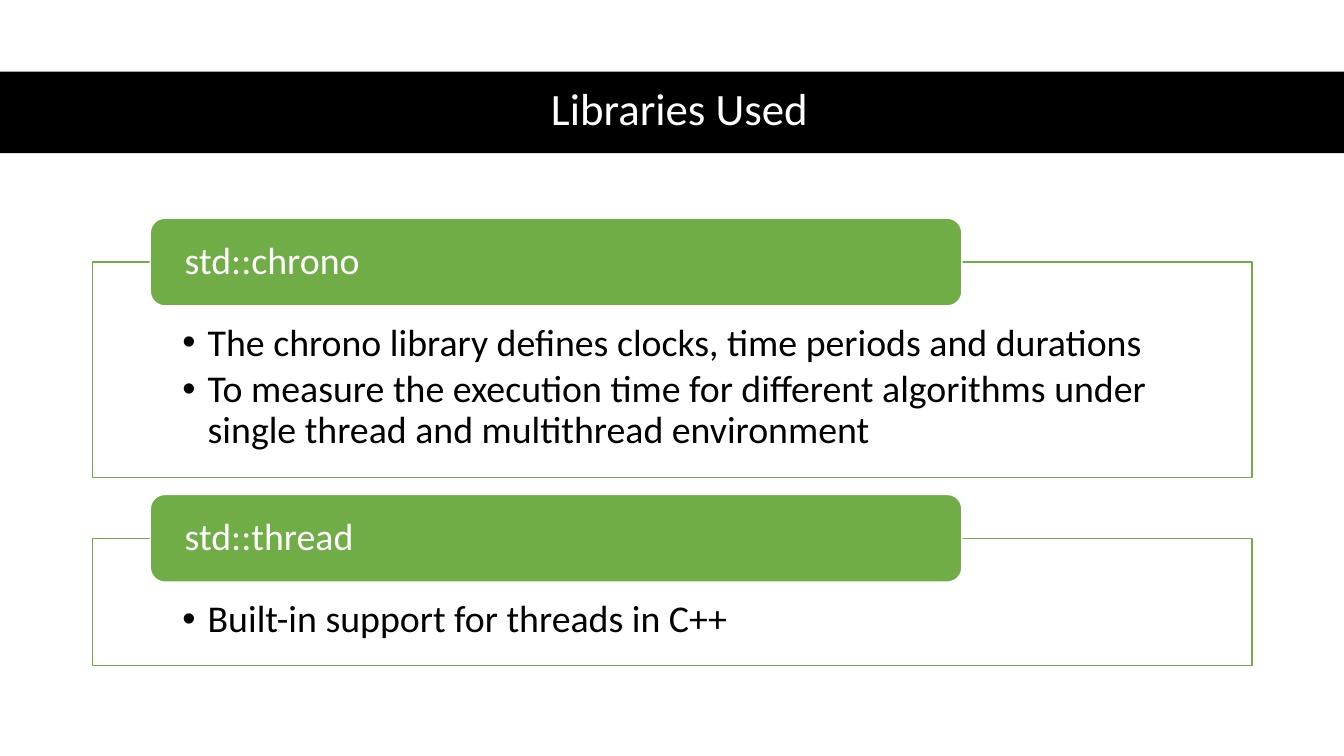
from dataclasses import dataclass

from lxml import etree
from pptx import Presentation
from pptx.dml.color import RGBColor
from pptx.enum.shapes import MSO_SHAPE
from pptx.enum.text import MSO_ANCHOR, PP_ALIGN
from pptx.oxml.ns import qn
from pptx.util import Inches, Pt

RECT, ROUNDED = MSO_SHAPE.RECTANGLE, MSO_SHAPE.ROUNDED_RECTANGLE
TOP, MIDDLE = MSO_ANCHOR.TOP, MSO_ANCHOR.MIDDLE
LEFT, CENTER = PP_ALIGN.LEFT, PP_ALIGN.CENTER


@dataclass(frozen=True)
class Theme:
    font: str = "Calibri"
    title_size: int = 32
    body_size: int = 27
    black: RGBColor = RGBColor(0, 0, 0)
    white: RGBColor = RGBColor(255, 255, 255)
    green: RGBColor = RGBColor(0x70, 0xAD, 0x47)


THEME = Theme()
TAB_HEIGHT = 0.87

# Heading, top of the box, height of the box, bullets
LIBRARIES = [
    ("std::chrono", 2.6, 2.14, [
        "The chrono library defines clocks, time periods and durations",
        "To measure the execution time for different algorithms under "
        "single thread and multithread environment",
    ]),
    ("std::thread", 5.34, 1.26, ["Built-in support for threads in C++"]),
]


def add_box(s, kind, x, y, w, h, fill, line=None):
    sp = s.shapes.add_shape(kind, Inches(x), Inches(y), Inches(w), Inches(h))
    sp.shadow.inherit = False
    sp.fill.solid()
    sp.fill.fore_color.rgb = fill
    if line is None:
        sp.line.fill.background()
    else:
        sp.line.color.rgb = line
        sp.line.width = Pt(1)
    return sp


def set_frame(tf, anchor, left, top, right, bottom):
    tf.word_wrap = True
    tf.vertical_anchor = anchor
    tf.margin_left, tf.margin_top = Inches(left), Inches(top)
    tf.margin_right, tf.margin_bottom = Inches(right), Inches(bottom)


def format_paragraph(p, size, color, align=LEFT):
    p.alignment = align
    p.line_spacing = 0.9
    for r in p.runs:
        r.font.name = THEME.font
        r.font.size = Pt(size)
        r.font.color.rgb = color


def add_bullet(p):
    p.level = 1
    p.space_after = Pt(4)
    pPr = p._p.get_or_add_pPr()
    pPr.set("marL", str(Inches(0.25)))
    pPr.set("indent", str(Inches(-0.25)))
    etree.SubElement(pPr, qn("a:buFont")).set("typeface", "Arial")
    etree.SubElement(pPr, qn("a:buChar")).set("char", "•")


def add_title(s, text):
    title = s.shapes.title
    title.left, title.top = Inches(0.61), Inches(0.7)
    title.width, title.height = Inches(12.26), Inches(0.81)
    title.text_frame.text = text
    title.text_frame.vertical_anchor = MIDDLE
    format_paragraph(title.text_frame.paragraphs[0], THEME.title_size,
                     THEME.white, CENTER)
    band = add_box(s, RECT, 0, 0.71, 13.33, 0.81, THEME.black)
    title.element.addprevious(band.element)


def add_library(s, heading, top, height, bullets):
    """Add an outlined box of bullets with a heading tab across its top edge."""
    box = add_box(s, RECT, 0.92, top, 11.5, height, THEME.white, THEME.green)
    tf = box.text_frame
    set_frame(tf, TOP, 0.89, 0.61, 0.89, 0.21)
    tf.text = "\n".join(bullets)
    for p in tf.paragraphs:
        format_paragraph(p, THEME.body_size, THEME.black)
        add_bullet(p)

    tab = add_box(s, ROUNDED, 1.49, top - TAB_HEIGHT / 2, 8.05, TAB_HEIGHT,
                  THEME.green, THEME.white)
    tf = tab.text_frame
    set_frame(tf, MIDDLE, 0.3, 0, 0.3, 0)
    tf.text = heading
    format_paragraph(tf.paragraphs[0], THEME.body_size, THEME.white)


def main():
    prs = Presentation()
    prs.slide_width, prs.slide_height = Inches(13.33), Inches(7.5)
    s = prs.slides.add_slide(prs.slide_layouts[5])
    add_title(s, "Libraries Used")
    for library in LIBRARIES:
        add_library(s, *library)
    prs.save("out.pptx")


if __name__ == "__main__":
    main()
